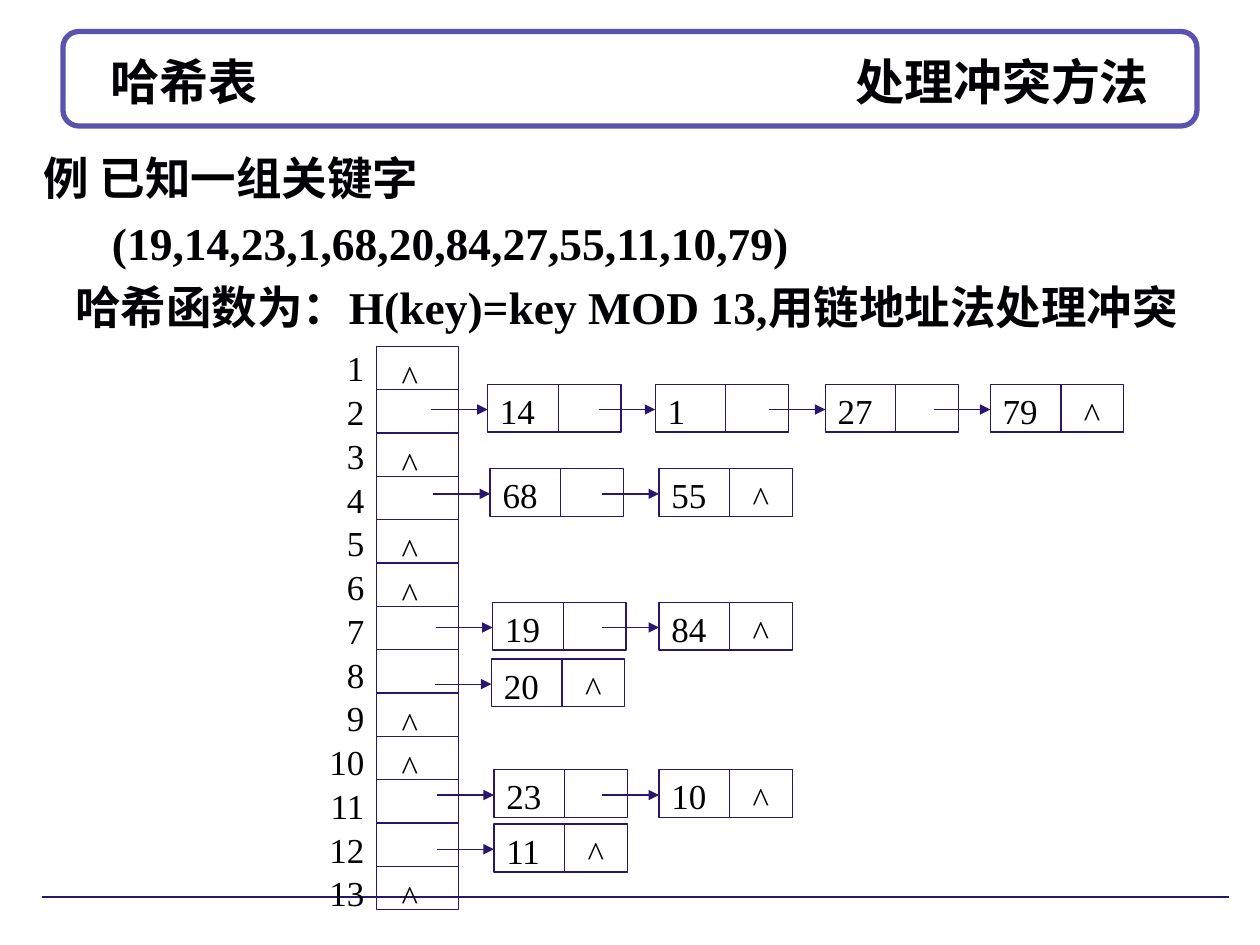
from dataclasses import dataclass

from lxml import etree
from pptx import Presentation
from pptx import util as u
from pptx.dml.color import RGBColor
from pptx.enum import shapes, text
from pptx.oxml import ns


@dataclass(frozen=True)
class Theme:
    font: str = "Times New Roman"
    ink: RGBColor = RGBColor(0x01, 0x01, 0x03)
    line: RGBColor = RGBColor(0x2B, 0x16, 0x6E)
    frame: RGBColor = RGBColor(0x59, 0x52, 0xAE)
    paper: RGBColor = RGBColor(0xFF, 0xFF, 0xFF)
    title_size: int = 28
    body_size: int = 26
    diagram_size: int = 20
    thin: float = 0.75
    thick: float = 3


THEME = Theme()
ROW_COUNT = 13
NODE_WIDTH, NODE_HEIGHT, KEY_WIDTH = 1.06, 0.38, 0.56
ARROW_LENGTH, ARROW_DROP = 0.45, 0.2
CARET_WIDTH, CARET_HEIGHT = 0.33, 0.44

# Bucket number: top of the chain, then (left, key) of each node
CHAINS = {
    2: (3.05, [(3.87, 14), (5.2, 1), (6.55, 27), (7.86, 79)]),
    4: (3.72, [(3.89, 68), (5.23, 55)]),
    7: (4.78, [(3.91, 19), (5.23, 84)]),
    8: (5.23, [(3.9, 20)]),
    11: (6.11, [(3.92, 23), (5.23, 10)]),
    12: (6.54, [(3.92, 11)]),
}


def box_inches(*lengths):
    return [u.Inches(length) for length in lengths]


def write(shape, lines, *, size, bold=False, align=text.PP_ALIGN.LEFT,
          anchor=text.MSO_ANCHOR.TOP, wrap=True, spacing=1.1, before=0,
          indents=None, right_tab=None):
    """Fill a shape with one paragraph for each line."""
    frame = shape.text_frame
    frame.word_wrap = wrap
    frame.vertical_anchor = anchor
    for index, line in enumerate(lines):
        paragraph = frame.paragraphs[0] if index == 0 else frame.add_paragraph()
        paragraph.text = line
        paragraph.alignment = align
        paragraph.line_spacing = spacing
        if index and before:
            paragraph.space_before = u.Pt(before)
        properties = paragraph._p.get_or_add_pPr()
        if indents:
            properties.set("marL", str(u.Inches(indents[index])))
        if right_tab:
            tabs = etree.SubElement(properties, ns.qn("a:tabLst"))
            etree.SubElement(tabs, ns.qn("a:tab"),
                             pos=str(u.Inches(right_tab)), algn="r")
        font = paragraph.font
        font.name = THEME.font
        font.size = u.Pt(size)
        font.bold = bold
        font.color.rgb = THEME.ink


def add_text(slide, box, lines, **text_format):
    write(slide.shapes.add_textbox(*box_inches(*box)), lines, **text_format)


def add_box(slide, box, kind=shapes.MSO_SHAPE.RECTANGLE, fill=None,
            color=THEME.line, weight=THEME.thin):
    shape = slide.shapes.add_shape(kind, *box_inches(*box))
    shape.shadow.inherit = False
    if fill is None:
        shape.fill.background()
    else:
        shape.fill.solid()
        shape.fill.fore_color.rgb = fill
    shape.line.color.rgb = color
    shape.line.width = u.Pt(weight)
    return shape


def add_line(slide, start, end, arrow=False):
    connector = slide.shapes.add_connector(
        shapes.MSO_CONNECTOR.STRAIGHT, *box_inches(*start, *end))
    connector.line.color.rgb = THEME.line
    connector.line.width = u.Pt(THEME.thin)
    if arrow:
        etree.SubElement(connector.line._get_or_add_ln(), ns.qn("a:tailEnd"),
                         type="triangle")
    etree.SubElement(connector._element.spPr, ns.qn("a:effectLst"))


def add_caret(slide, left, top):
    """Mark an empty link."""
    add_text(slide, (left, top, CARET_WIDTH, CARET_HEIGHT), ["^"],
             size=THEME.diagram_size, wrap=False)


def add_header(slide, box):
    left, top, width, height = box
    frame = add_box(slide, box, shapes.MSO_SHAPE.ROUNDED_RECTANGLE,
                    THEME.paper, THEME.frame, THEME.thick)
    frame.adjustments[0] = 0.167
    margin = 0.28
    title_width = width - 2 * margin
    add_text(slide, (left + margin, top + 0.08, title_width, height - 0.13),
             ["哈希表\t处理冲突方法"], size=THEME.title_size, bold=True,
             anchor=text.MSO_ANCHOR.MIDDLE, spacing=1.0,
             right_tab=title_width - 0.2)


def add_problem(slide, box):
    lines = [
        "例 已知一组关键字",
        "(19,14,23,1,68,20,84,27,55,11,10,79)",
        "哈希函数为：H(key)=key MOD 13,用链地址法处理冲突",
    ]
    add_text(slide, box, lines, size=THEME.body_size, bold=True, before=2.6,
             indents=[0, 0.54, 0.25])


def add_buckets(slide, box):
    """Draw the bucket column with its row numbers and empty links."""
    left, top, width, height = box
    row_height = height / ROW_COUNT
    add_box(slide, box)
    for row in range(1, ROW_COUNT + 1):
        row_top = top + (row - 1) * row_height
        if row > 1:
            add_line(slide, (left, row_top), (left + width, row_top))
        if row not in CHAINS:
            add_caret(slide, left + 0.1, row_top - 0.01)
    label_width = 0.54
    add_text(slide, (left - label_width, top - 0.06, label_width, height + 0.17),
             [str(row) for row in range(1, ROW_COUNT + 1)],
             size=THEME.diagram_size, align=text.PP_ALIGN.RIGHT,
             spacing=u.Pt(25))


def add_node(slide, box, key, is_last):
    """Draw a key cell and a link cell, with the arrow that leads to them."""
    left, top, width, height = box
    write(add_box(slide, box), [str(key)], size=THEME.diagram_size,
          anchor=text.MSO_ANCHOR.MIDDLE, wrap=False)
    divider = left + KEY_WIDTH
    add_line(slide, (divider, top), (divider, top + height))
    arrow_y = top + ARROW_DROP
    add_line(slide, (left - ARROW_LENGTH, arrow_y), (left, arrow_y), arrow=True)
    if is_last:
        link_width = width - KEY_WIDTH
        add_caret(slide, divider + (link_width - CARET_WIDTH) / 2, top - 0.02)


def add_chains(slide):
    for top, nodes in CHAINS.values():
        for index, (left, key) in enumerate(nodes, start=1):
            add_node(slide, (left, top, NODE_WIDTH, NODE_HEIGHT), key,
                     is_last=index == len(nodes))


def main():
    presentation = Presentation()
    presentation.slide_width = u.Inches(10)
    presentation.slide_height = u.Inches(7.5)
    slide = presentation.slides.add_slide(presentation.slide_layouts[6])
    add_line(slide, (0.33, 7.12), (9.75, 7.12))
    add_header(slide, (0.5, 0.25, 9, 0.75))
    add_problem(slide, (0.25, 1.1, 9.5, 1.63))
    add_buckets(slide, (2.99, 2.75, 0.65, 4.47))
    add_chains(slide)
    presentation.save("out.pptx")


if __name__ == "__main__":
    main()
